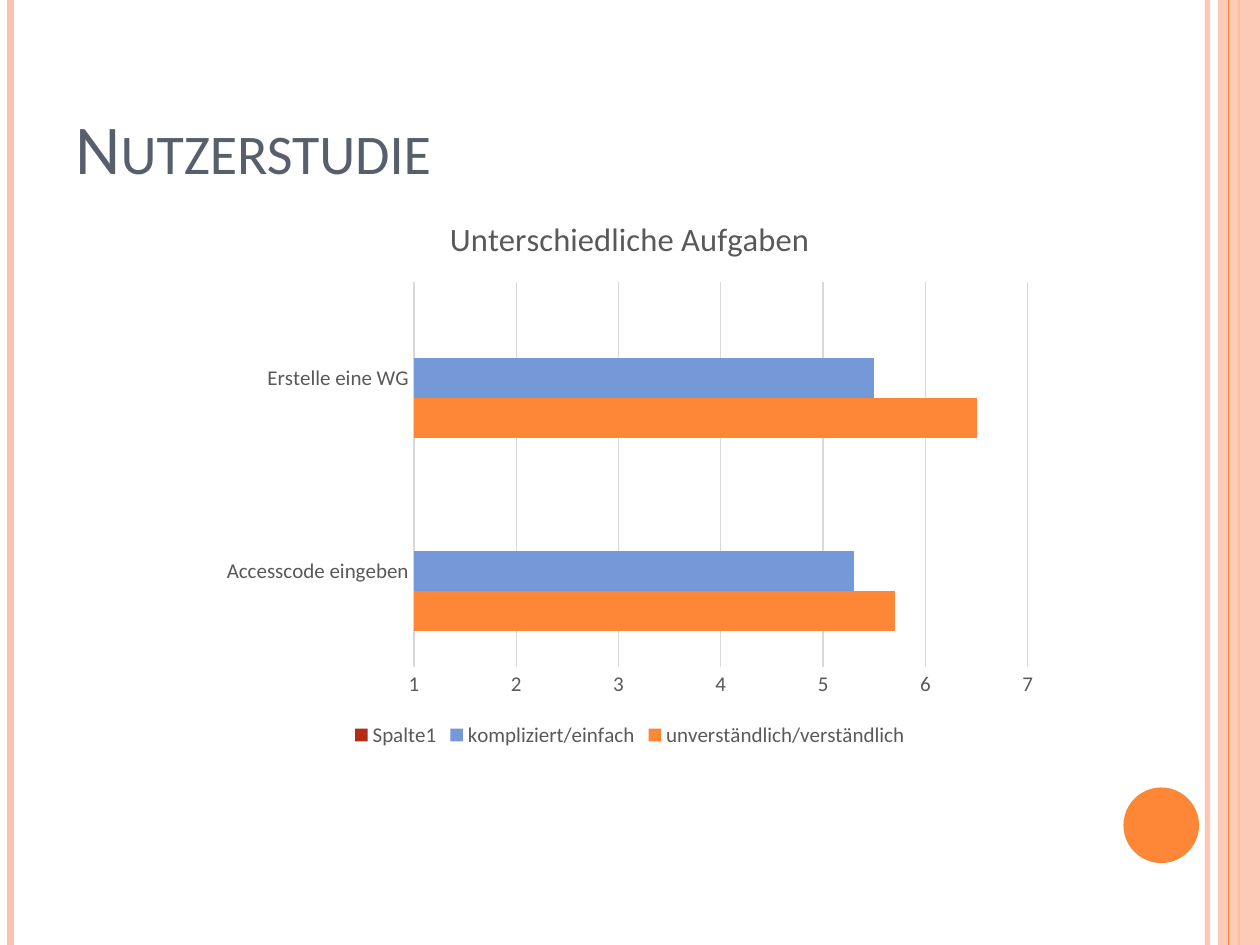
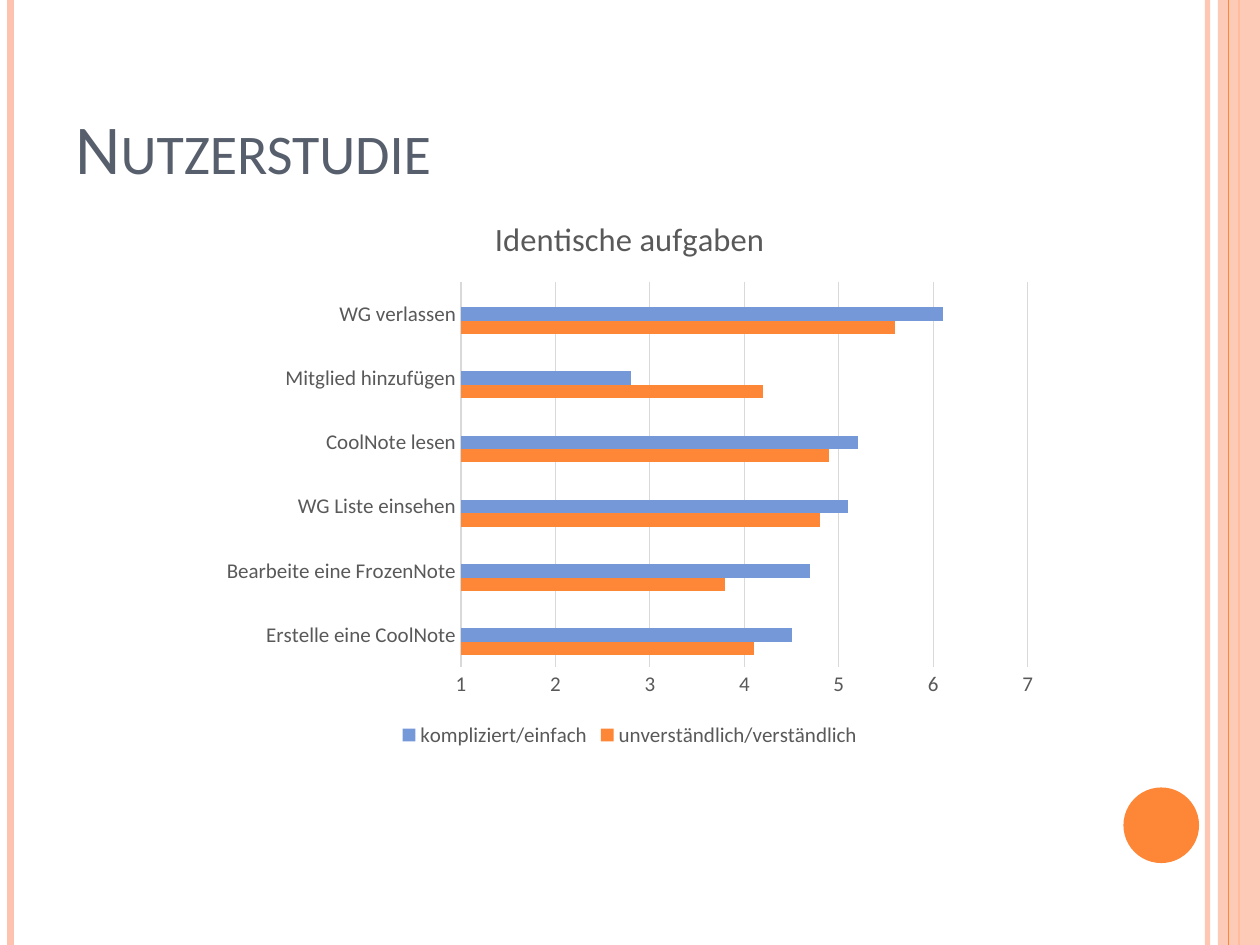
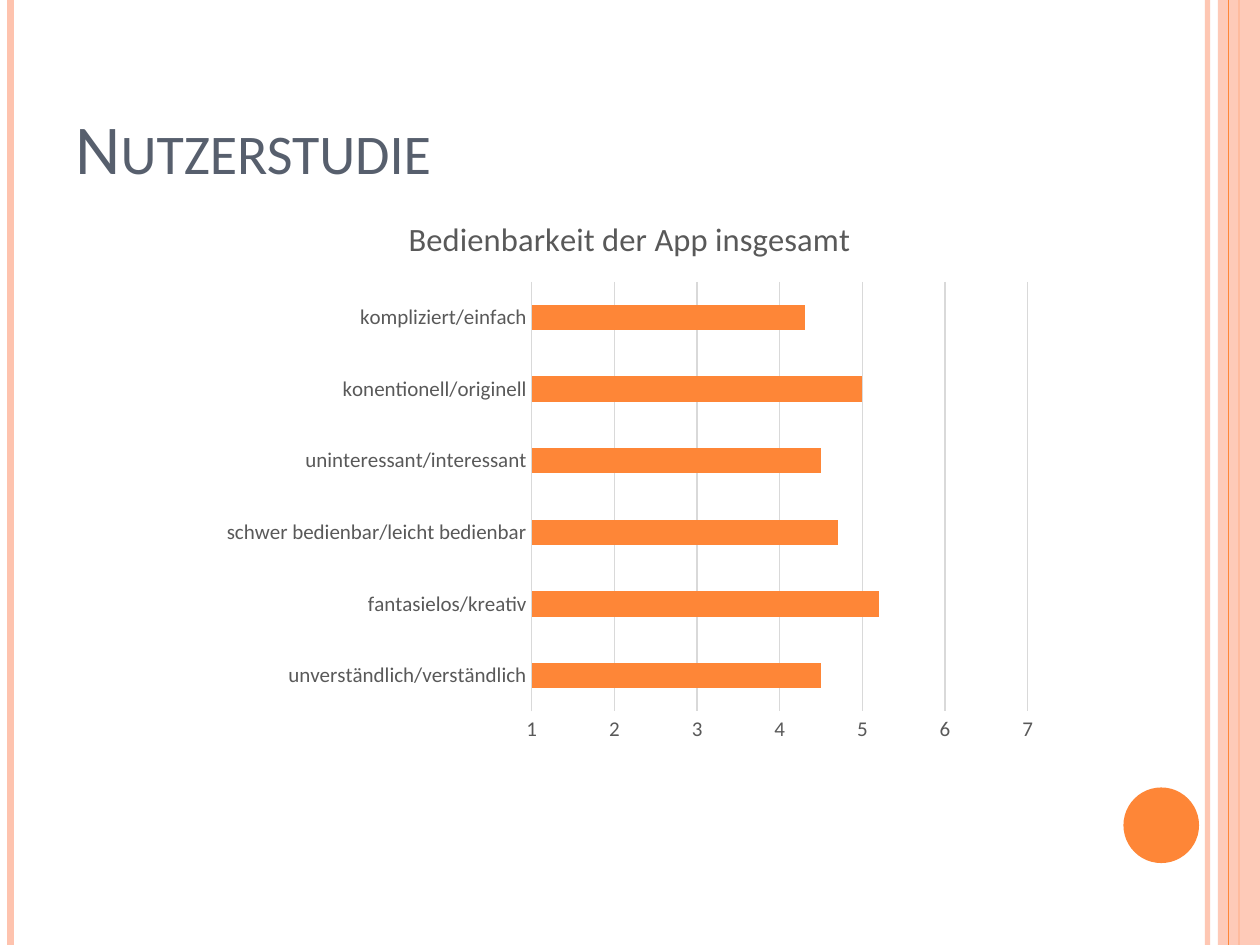
from lxml import etree
from pptx import Presentation
from pptx import util as u
from pptx.chart import data as chart_data
from pptx.dml import color
from pptx.enum import chart as charts, shapes, text
from pptx.oxml import ns

COLORS = {
    "title": "575F6D", "band": "FEC3AE", "accent": "FE8637", "blue": "7598D9",
    "red": "B32C16", "label": "595959", "grid": "D9D9D9",
}
FONT = "Calibri"
WIDTH, HEIGHT = 720, 540
CLEAR, SIMPLE = "unverständlich/verständlich", "kompliziert/einfach"
RESULTS = [
    {
        "heading": "Unterschiedliche Aufgaben",
        "categories": ["Accesscode eingeben", "Erstelle eine WG"],
        "series": {CLEAR: [5.7, 6.5], SIMPLE: [5.3, 5.5], "Spalte1": [None] * 2},
        "legend": True,
    },
    {
        "heading": "Identische aufgaben",
        "categories": ["Erstelle eine CoolNote", "Bearbeite eine FrozenNote", "WG Liste einsehen",
                       "CoolNote lesen", "Mitglied hinzufügen", "WG verlassen"],
        "series": {CLEAR: [4.1, 3.8, 4.8, 4.9, 4.2, 5.6],
                   SIMPLE: [4.5, 4.7, 5.1, 5.2, 2.8, 6.1],
                   "Spalte1": [None] * 6},
        "legend": True,
        "hidden_entry": 0,
    },
    {
        "heading": "Bedienbarkeit der App insgesamt",
        "categories": [CLEAR, "fantasielos/kreativ", "schwer bedienbar/leicht bedienbar",
                       "uninteressant/interessant", "konentionell/originell", SIMPLE],
        "series": {"Series 1": [4.5, 5.2, 4.7, 4.5, 5, 4.3]},
    },
]


def rgb(name):
    """Return the named colour."""
    return color.RGBColor.from_string(COLORS[name])


def assign(target, **values):
    """Set every given attribute on the target."""
    for name, value in values.items():
        setattr(target, name, value)


def add_child(parent, tag, **attributes):
    """Append an XML child with the given attributes."""
    return etree.SubElement(parent, ns.qn(tag), attributes)


def set_opacity(shape, percent):
    """Make the solid colour of a shape partly transparent."""
    tone = next(shape.element.iter(ns.qn("a:srgbClr")))
    add_child(tone, "a:alpha", val=str(percent * 1000))


class Studio:
    """Holds the deck style and the current slide."""

    def __init__(self):
        """Start the deck with its title-only layout."""
        self.deck = Presentation()
        assign(self.deck, slide_width=u.Pt(WIDTH), slide_height=u.Pt(HEIGHT))
        self.layout = self.deck.slide_layouts[5]
        self.page = None

    def new_page(self):
        """Add a slide and make it current."""
        self.page = self.deck.slides.add_slide(self.layout)

    def style_font(self, font, size, tone):
        """Apply the deck typeface with a size and colour."""
        assign(font, name=FONT, size=u.Pt(size), bold=False)
        font.color.rgb = rgb(tone)

    def stripe(self, left, weight, tone):
        """Draw a full-height vertical line."""
        line = self.page.shapes.add_connector(
            shapes.MSO_CONNECTOR.STRAIGHT, u.Pt(left), 0, u.Pt(left), u.Pt(HEIGHT))
        line.line.width = u.Pt(weight)
        line.line.color.rgb = rgb(tone)
        add_child(line.element.spPr, "a:effectLst")
        return line

    def solid(self, kind, bounds, tone):
        """Draw a filled shape without outline."""
        shape = self.page.shapes.add_shape(kind, *map(u.Pt, bounds))
        shape.shadow.inherit = False
        shape.fill.solid()
        shape.fill.fore_color.rgb = rgb(tone)
        shape.line.fill.background()
        return shape

    def frame(self):
        """Place the shared stripes, band and disc on the layout."""
        for holder in list(self.layout.placeholders)[1:]:
            holder.element.getparent().remove(holder.element)
        inner = self.stripe(690, 3, "band")
        set_opacity(inner, 93)
        outer = [self.stripe(6, 4.5, "band"), self.stripe(708, 1.5, "accent")]
        band = self.solid(shapes.MSO_SHAPE.RECTANGLE, (696, 0, 24, HEIGHT), "band")
        set_opacity(band, 87)
        edge = self.stripe(702, 0.75, "accent")
        disc = self.solid(shapes.MSO_SHAPE.OVAL, (642, 450, 43.2, 43.2), "accent")
        for shape in [inner, *outer, band, edge, disc]:
            self.layout.shapes.element.append(shape.element)

    def title(self, words):
        """Fill and format the title placeholder."""
        box = self.page.shapes.title
        assign(box, left=u.Pt(36), top=u.Pt(21.6), width=u.Pt(588), height=u.Pt(90))
        assign(box.text_frame, text=words, vertical_anchor=text.MSO_ANCHOR.BOTTOM,
               auto_size=text.MSO_AUTO_SIZE.NONE, word_wrap=True)
        para = box.text_frame.paragraphs[0]
        para.alignment = text.PP_ALIGN.LEFT
        span = para.runs[0]
        self.style_font(span.font, 40, "title")
        span.font._element.set("cap", "small")

    def axes(self, chart):
        """Format both axes and the gridlines."""
        for axis in (chart.category_axis, chart.value_axis):
            assign(axis, major_tick_mark=charts.XL_TICK_MARK.NONE,
                   minor_tick_mark=charts.XL_TICK_MARK.NONE)
            self.style_font(axis.tick_labels.font, 12, "label")
        assign(chart.value_axis, minimum_scale=1, maximum_scale=7, major_unit=1,
               has_major_gridlines=True)
        chart.value_axis.format.line.fill.background()
        for line in (chart.category_axis.format.line,
                     chart.value_axis.major_gridlines.format.line):
            line.width = u.Pt(0.75)
            line.color.rgb = rgb("grid")

    def legend(self, chart, hidden_entry):
        """Show the legend below, leaving out one entry if asked."""
        chart.has_legend = True
        legend = chart.legend
        assign(legend, position=charts.XL_LEGEND_POSITION.BOTTOM, include_in_layout=False)
        self.style_font(legend.font, 12, "label")
        if hidden_entry is not None:
            entry = etree.Element(ns.qn("c:legendEntry"))
            add_child(entry, "c:idx", val=str(hidden_entry))
            add_child(entry, "c:delete", val="1")
            legend._element.find(ns.qn("c:legendPos")).addnext(entry)

    def bar_chart(self, heading, categories, series, legend=False, hidden_entry=None):
        """Add a clustered bar chart of ratings from 1 to 7."""
        ratings = chart_data.CategoryChartData()
        ratings.categories = categories
        for name, values in series.items():
            ratings.add_series(name, values)
        bounds = map(u.Pt, (120, 110, 480, 320))
        chart = self.page.shapes.add_chart(
            charts.XL_CHART_TYPE.BAR_CLUSTERED, *bounds, ratings).chart
        assign(chart.font, name=FONT, size=u.Pt(10))
        chart.has_title = True
        chart.chart_title.text_frame.text = heading
        span = chart.chart_title.text_frame.paragraphs[0].runs[0]
        self.style_font(span.font, 18.6, "label")
        self.axes(chart)
        assign(chart.plots[0], gap_width=182, vary_by_categories=False)
        for bars, tone in zip(chart.plots[0].series, ("accent", "blue", "red")):
            bars.format.fill.solid()
            bars.format.fill.fore_color.rgb = rgb(tone)
        chart.has_legend = False
        if legend:
            self.legend(chart, hidden_entry)


def main():
    """Build the study results and save the deck."""
    studio = Studio()
    for number, result in enumerate(RESULTS):
        studio.new_page()
        if number == 0:
            studio.frame()
        studio.title("Nutzerstudie")
        studio.bar_chart(**result)
    studio.deck.save("out.pptx")


if __name__ == "__main__":
    main()
